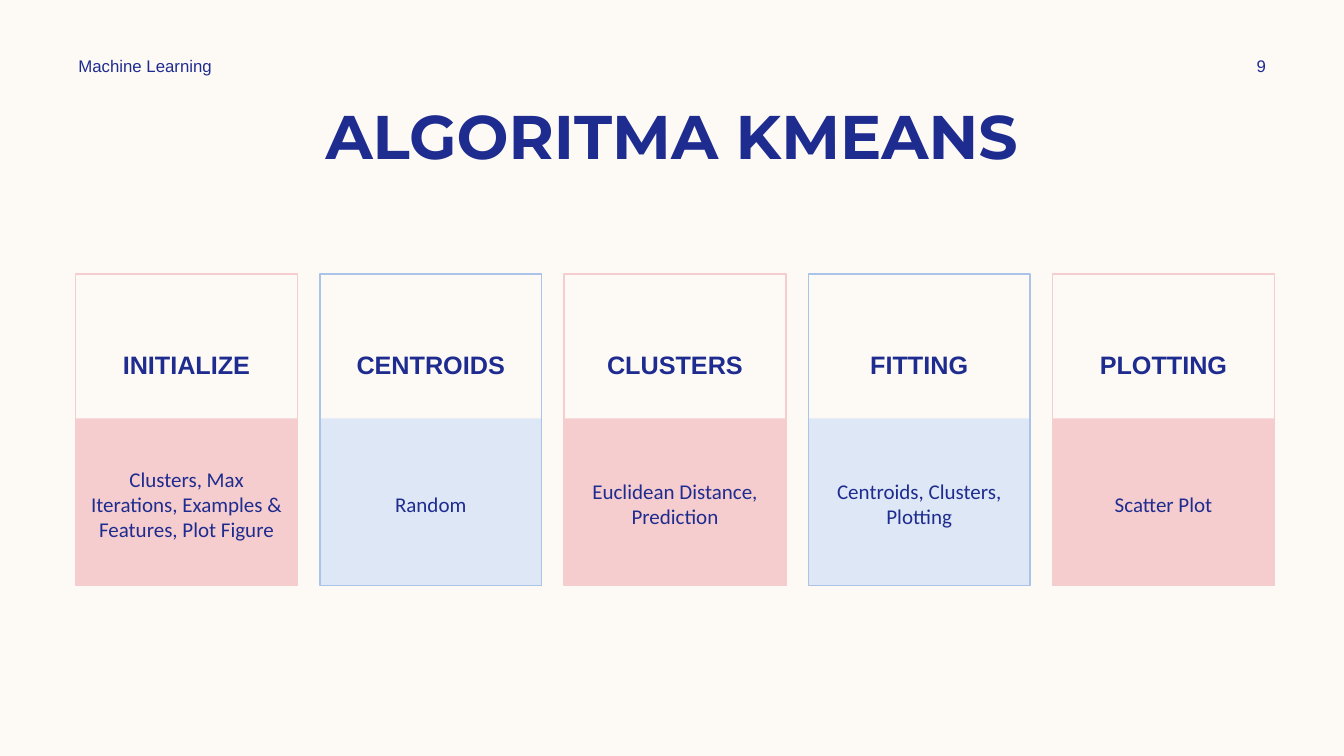
from dataclasses import dataclass

from pptx import Presentation
from pptx.dml.color import RGBColor
from pptx.enum.shapes import MSO_SHAPE
from pptx.enum.text import MSO_ANCHOR, PP_ALIGN
from pptx.util import Inches, Pt


@dataclass(frozen=True)
class Theme:
    background: RGBColor = RGBColor(0xFD, 0xFA, 0xF6)
    ink: RGBColor = RGBColor(0x1F, 0x2C, 0x8F)
    pink: RGBColor = RGBColor(0xF5, 0xCD, 0xCE)
    pale_blue: RGBColor = RGBColor(0xDD, 0xE7, 0xF6)
    blue: RGBColor = RGBColor(0xAA, 0xC3, 0xE8)
    title_font: str = "Montserrat"
    label_font: str = "Arial"
    detail_font: str = "Calibri"
    title_size: int = 44
    heading_size: int = 18
    detail_size: int = 15
    label_size: int = 12


THEME = Theme()

STEPS = [
    ("INITIALIZE", "Clusters, Max Iterations, Examples & Features, Plot Figure"),
    ("CENTROIDS", "Random"),
    ("CLUSTERS", "Euclidean Distance, Prediction"),
    ("FITTING", "Centroids, Clusters, Plotting"),
    ("PLOTTING", "Scatter Plot"),
]


def write(holder, text, font, size, bold=False, align=PP_ALIGN.CENTER,
          anchor=MSO_ANCHOR.MIDDLE):
    frame = holder.text_frame
    frame.word_wrap = True
    frame.vertical_anchor = anchor
    paragraph = frame.paragraphs[0]
    paragraph.text = text
    paragraph.alignment = align
    run_font = paragraph.runs[0].font
    run_font.name, run_font.size, run_font.bold = font, Pt(size), bold
    run_font.color.rgb = THEME.ink


def add_label(slide, box, text, font, size, **style):
    label = slide.shapes.add_textbox(*map(Inches, box))
    write(label, text, font, size, **style)


def add_rectangle(slide, box, fill=None, line=None):
    rectangle = slide.shapes.add_shape(MSO_SHAPE.RECTANGLE, *map(Inches, box))
    rectangle.shadow.inherit = False
    if fill is None:
        rectangle.fill.background()
    else:
        rectangle.fill.solid()
        rectangle.fill.fore_color.rgb = fill
    if line is None:
        rectangle.line.fill.background()
    else:
        rectangle.line.color.rgb = line
        rectangle.line.width = Pt(1)
    return rectangle


def add_header(slide, left, top, width, height):
    # Course name at the left, page number at the right, title below
    page_width = 1.08
    add_label(slide, (left, top, 3.5, height), "Machine Learning",
              THEME.label_font, THEME.label_size, align=PP_ALIGN.LEFT)
    add_label(slide, (left + width - page_width, top, page_width, height), "9",
              THEME.label_font, THEME.label_size)
    add_label(slide, (left + 0.15, top + 0.42, 11.67, 0.84), "ALGORITMA KMEANS",
              THEME.title_font, THEME.title_size, bold=True)


def add_step(slide, box, heading, detail, fill, line):
    left, top, width, height = box
    panel_offset = 1.43

    # Coloured lower panel
    add_rectangle(slide, (left, top + panel_offset, width, height - panel_offset),
                  fill=fill)

    # Outlined card carrying the heading
    card = add_rectangle(slide, box, line=line)
    card.text_frame.margin_top = Inches(0.75)
    write(card, heading, THEME.label_font, THEME.heading_size, bold=True,
          anchor=MSO_ANCHOR.TOP)

    # Detail text inside the panel
    add_label(slide, (left + 0.05, top + 1.53, width - 0.1, 1.5), detail,
              THEME.detail_font, THEME.detail_size)


def add_steps(slide, left, top, width, height):
    card_width = 2.2
    pitch = (width - card_width) / (len(STEPS) - 1)
    schemes = [(THEME.pink, THEME.pink), (THEME.pale_blue, THEME.blue)]
    for index, (heading, detail) in enumerate(STEPS):
        fill, line = schemes[index % 2]
        add_step(slide, (left + index * pitch, top, card_width, height),
                 heading, detail, fill, line)


def main():
    presentation = Presentation()
    presentation.slide_width = Inches(13.33)
    presentation.slide_height = Inches(7.5)
    slide = presentation.slides.add_slide(presentation.slide_layouts[6])
    slide.background.fill.solid()
    slide.background.fill.fore_color.rgb = THEME.background

    add_header(slide, 0.68, 0.5, 12.37, 0.3)
    add_steps(slide, 0.75, 2.72, 11.89, 3.09)
    presentation.save("out.pptx")


if __name__ == "__main__":
    main()
